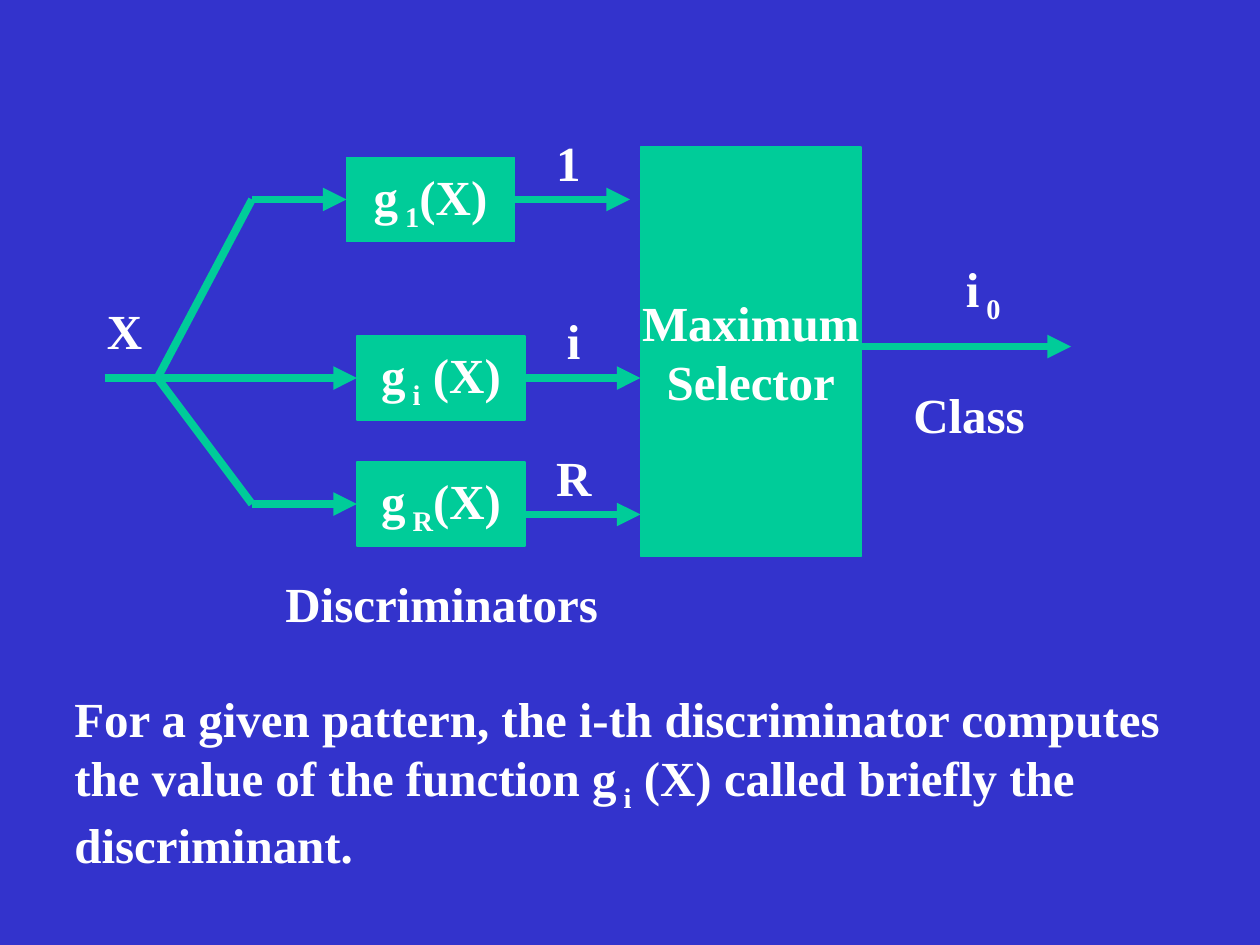
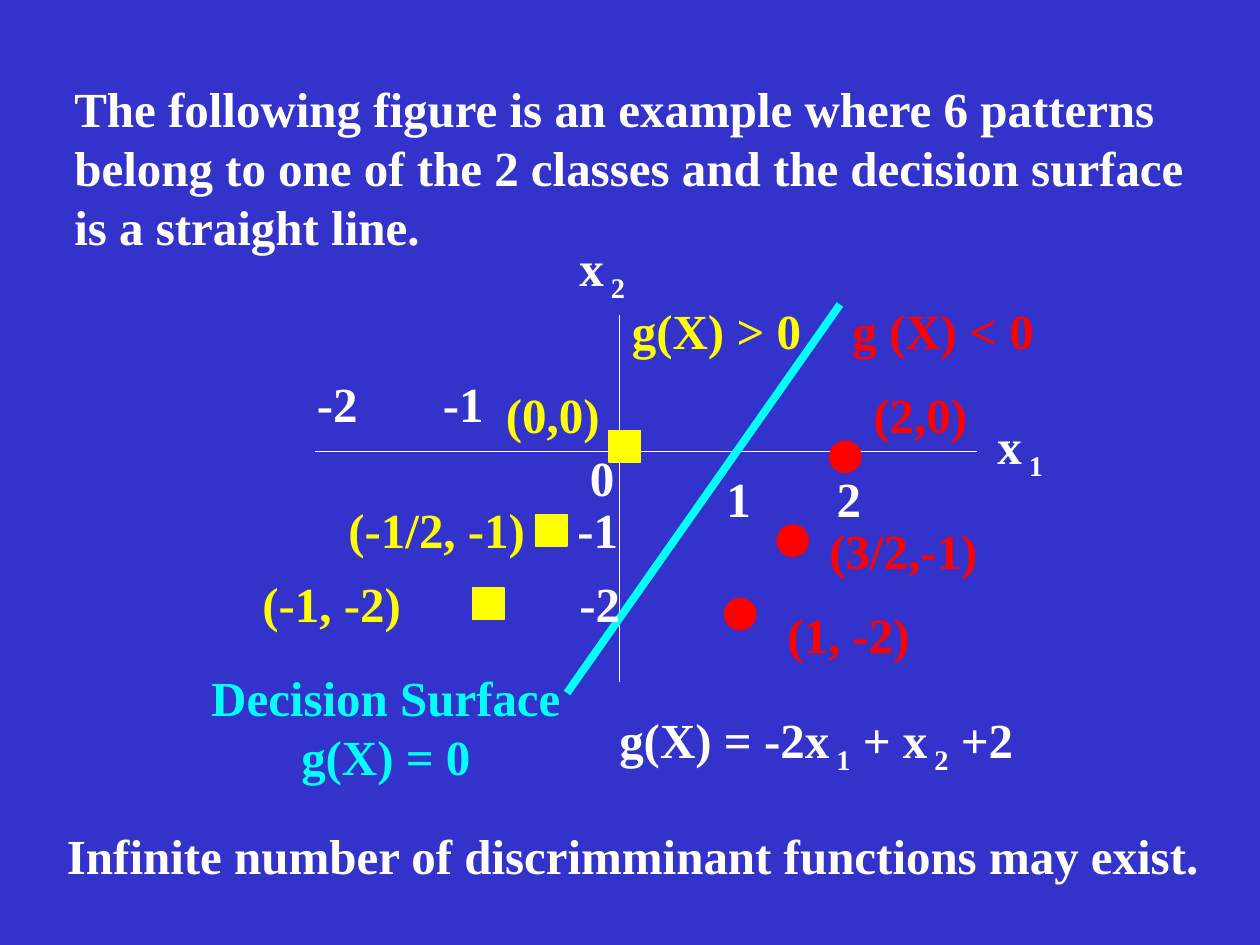
from dataclasses import dataclass

from lxml import etree
from pptx import Presentation
from pptx.dml.color import RGBColor
from pptx.enum.shapes import MSO_CONNECTOR, MSO_SHAPE
from pptx.enum.text import MSO_ANCHOR, PP_ALIGN
from pptx.oxml.ns import qn
from pptx.slide import Slide
from pptx.util import Inches, Pt

RECTANGLE, OVAL = MSO_SHAPE.RECTANGLE, MSO_SHAPE.OVAL
STRAIGHT = MSO_CONNECTOR.STRAIGHT
LEFT, CENTER = PP_ALIGN.LEFT, PP_ALIGN.CENTER
MIDDLE = MSO_ANCHOR.MIDDLE

COLORS = {
    "background": "3333CC",
    "text": "FFFFFF",
    "block": "00CC99",
    "positive": "FFFF00",
    "negative": "FF0000",
    "surface": "00FFFF",
}
FONT = "Times New Roman"
TEXT_SIZE = Pt(28)
THICK, THIN = Pt(4.5), Pt(0.75)

# The slide is a grid of 120 columns by 90 rows.
CELL = Inches(10) // 120
COLUMNS, ROWS = 120, 90


def color(name):
    return RGBColor.from_string(COLORS[name])


def write(frame, text, color_name="text", align=LEFT):
    """Write one paragraph a line; parts between tildes become subscripts."""
    for number, line in enumerate(text.split("\n")):
        paragraph = frame.paragraphs[0] if number == 0 else frame.add_paragraph()
        paragraph.alignment = align
        paragraph.font.name = FONT
        paragraph.font.bold = True
        paragraph.font.size = TEXT_SIZE
        paragraph.font.color.rgb = color(color_name)
        for index, part in enumerate(line.split("~")):
            if part:
                run = paragraph.add_run()
                run.text = part
                if index % 2:
                    run.font._element.set("baseline", "-25000")


@dataclass
class Region:
    """A part of a slide; every position is in cells from its origin."""

    slide: Slide
    left: float
    top: float

    def place(self, column, row):
        return int((self.left + column) * CELL), int((self.top + row) * CELL)

    def label(self, column, row, width, text, color_name="text", align=LEFT):
        height = 1.2 + 5.6 * len(text.split("\n"))
        box = self.slide.shapes.add_textbox(
            *self.place(column, row), int(width * CELL), int(height * CELL))
        box.text_frame.word_wrap = True
        write(box.text_frame, text, color_name, align)

    def block(self, kind, column, row, width, height, color_name, text=None):
        shape = self.slide.shapes.add_shape(
            kind, *self.place(column, row), width * CELL, height * CELL)
        shape.shadow.inherit = False
        shape.fill.solid()
        shape.fill.fore_color.rgb = color(color_name)
        shape.line.color.rgb = color(color_name)
        shape.line.width = THIN
        if text:
            frame = shape.text_frame
            frame.word_wrap = False
            frame.vertical_anchor = MIDDLE
            write(frame, text, align=CENTER)

    def line(self, start, end, color_name, width=THICK, arrow=False):
        connector = self.slide.shapes.add_connector(
            STRAIGHT, *self.place(*start), *self.place(*end))
        connector.line.color.rgb = color(color_name)
        connector.line.width = width
        properties = connector._element.spPr
        if arrow:
            outline = properties.find(qn("a:ln"))
            etree.SubElement(outline, qn("a:tailEnd"), type="triangle")
        etree.SubElement(properties, qn("a:effectLst"))


def draw_classifier(region):
    """Input X, three discriminators, the maximum selector and its output."""
    fork, bend, middle = 6, 15, 24
    block_width, block_height = 16, 8
    region.line((1, middle), (fork, middle), "block")
    region.label(0, 16, 7, "X")

    # function, left, top, output row, output name, name position
    channels = [
        ("g~ 1~(X)", 24, 3, 7, "1", 42.8, 0),
        ("g~ i~ (X)", 25, 20, 24, "i", 43.8, 17),
        ("g~ R~(X)", 25, 32, 37, "R", 42.8, 30),
    ]
    for function, left, top, output, name, name_left, name_top in channels:
        center = top + block_height / 2
        right = left + block_width
        region.block(RECTANGLE, left, top, block_width, block_height, "block", function)
        region.line((fork, middle), (bend, center), "block")
        region.line((bend, center), (left, center), "block", arrow=True)
        region.line((right, output), (right + 11, output), "block", arrow=True)
        region.label(name_left, name_top, 7, name)

    region.label(17, 42, 34, "Discriminators")
    region.block(RECTANGLE, 52, 2, 21, 39, "block", "Maximum\nSelector")
    region.line((73, 21), (93, 21), "block", arrow=True)
    region.label(81.8, 12, 8, "i~ 0~")
    region.label(76.8, 24, 15, "Class")


def draw_plane(region):
    """Pattern plane; the region's origin is where the axes cross."""
    region.line((-29, 0), (34, 0), "text", THIN)
    region.line((0, -13), (0, 22), "text", THIN)
    region.line((-5, 23), (21, -14), "surface")

    ticks = [
        (-30, -8, "-2"), (-18, -8, "-1"), (-4, -1, "0"), (9, 1, "1"),
        (19.5, 1, "2"), (-5.2, 4, "-1"), (-5, 11, "-2"),
    ]
    for column, row, text in ticks:
        region.label(column, row, 8, text)
    region.label(34.8, -4, 9, "x~ 1~")
    region.label(-5, -21, 9, "x~ 2~")

    # marker position, then label position, width and text
    classes = {
        ("positive", RECTANGLE): [
            (-1, -2, -12, -7, 13, "(0,0)"),
            (-8, 6, -27, 4, 21, "(-1/2, -1)"),
            (-14, 13, -35.2, 11, 18, "(-1, -2)"),
        ],
        ("negative", OVAL): [
            (20, -1, 23, -7, 13, "(2,0)"),
            (15, 7, 18.8, 6, 18, "(3/2,-1)"),
            (10, 14, 14.8, 14, 16, "(1, -2)"),
        ],
    }
    for (color_name, marker), patterns in classes.items():
        for column, row, label_column, label_row, width, text in patterns:
            region.block(marker, column, row, 3, 3, color_name)
            region.label(label_column, label_row, width, text, color_name)

    region.label(0, -15, 20, "g(X) > 0", "positive")
    region.label(21, -15, 22, "g (X) < 0", "negative")
    region.label(-41, 20, 37.5, "Decision Surface\ng(X) = 0", "surface", CENTER)
    region.label(-1.2, 24, 44, "g(X) = -2x~ 1~ + x~ 2~ +2")


def add_slide(presentation):
    return presentation.slides.add_slide(presentation.slide_layouts[6])


def add_classifier_slide(presentation):
    slide = add_slide(presentation)
    draw_classifier(Region(slide, 9, 12))
    Region(slide, 5.9, 65).label(
        0, 0, 110,
        "For a given pattern, the i-th discriminator computes\n"
        "the value of the function g~ i~ (X) called briefly the\n"
        "discriminant.")


def add_example_slide(presentation):
    slide = add_slide(presentation)
    Region(slide, 5.9, 6.9).label(
        0, 0, 112,
        "The following figure is an example where 6 patterns\n"
        "belong to one of the 2 classes and the decision surface\n"
        "is a straight line.")
    draw_plane(Region(slide, 59, 43))
    Region(slide, 5.2, 78).label(
        0, 0, 113, "Infinite number of discrimminant functions may exist.")


def main():
    presentation = Presentation()
    presentation.slide_width = COLUMNS * CELL
    presentation.slide_height = ROWS * CELL
    background = presentation.slide_master.background.fill
    background.solid()
    background.fore_color.rgb = color("background")
    add_classifier_slide(presentation)
    add_example_slide(presentation)
    presentation.save("out.pptx")


if __name__ == "__main__":
    main()
